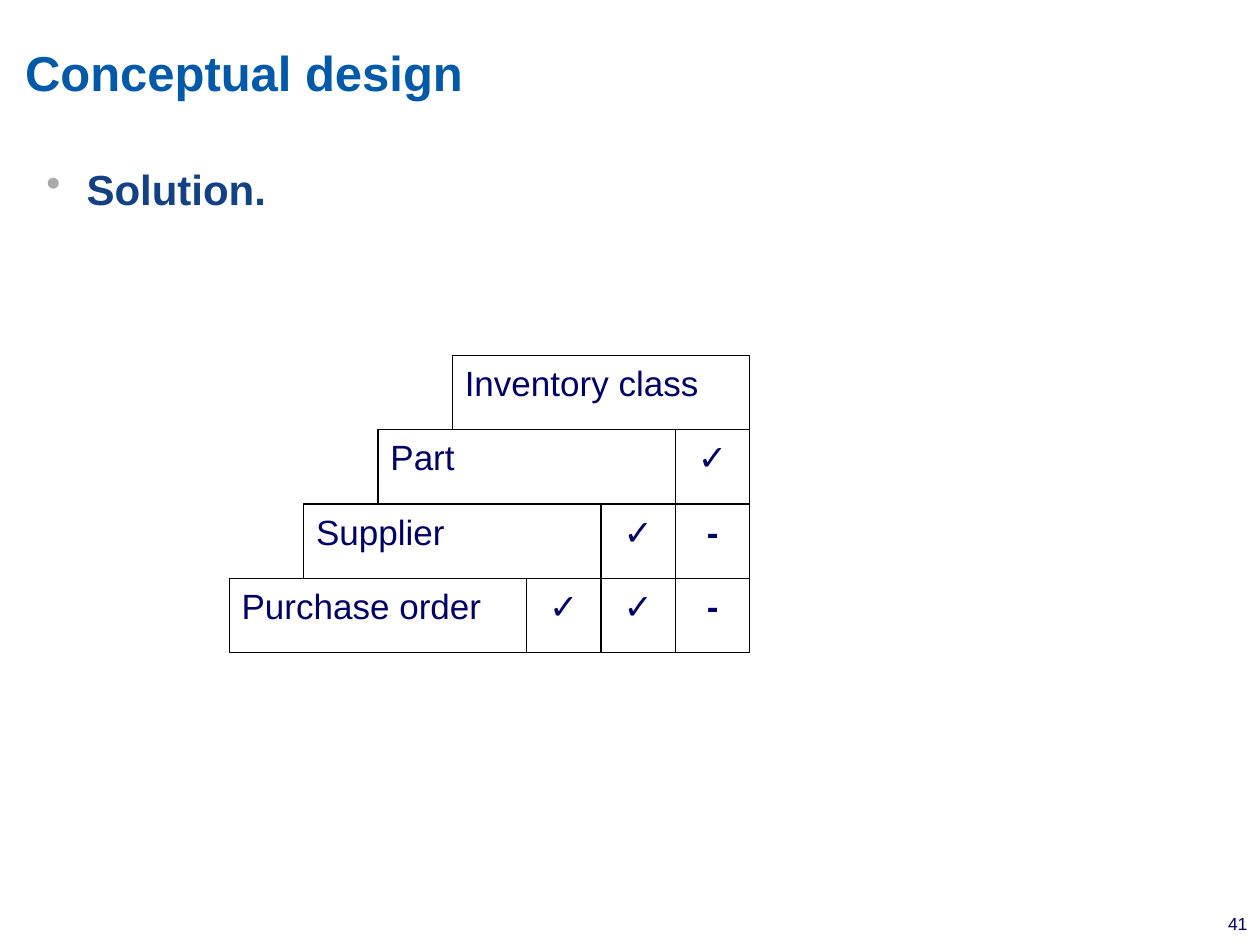
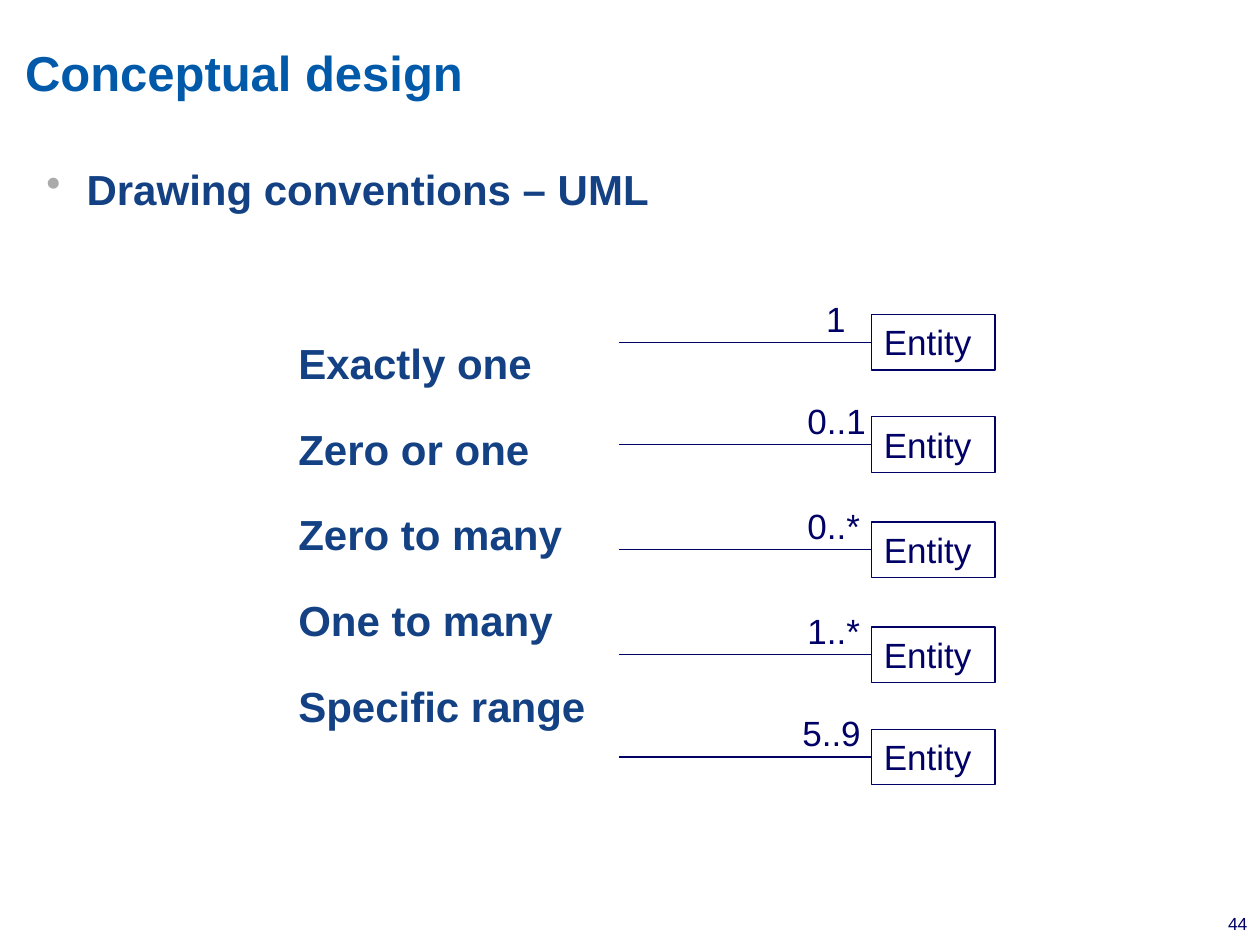
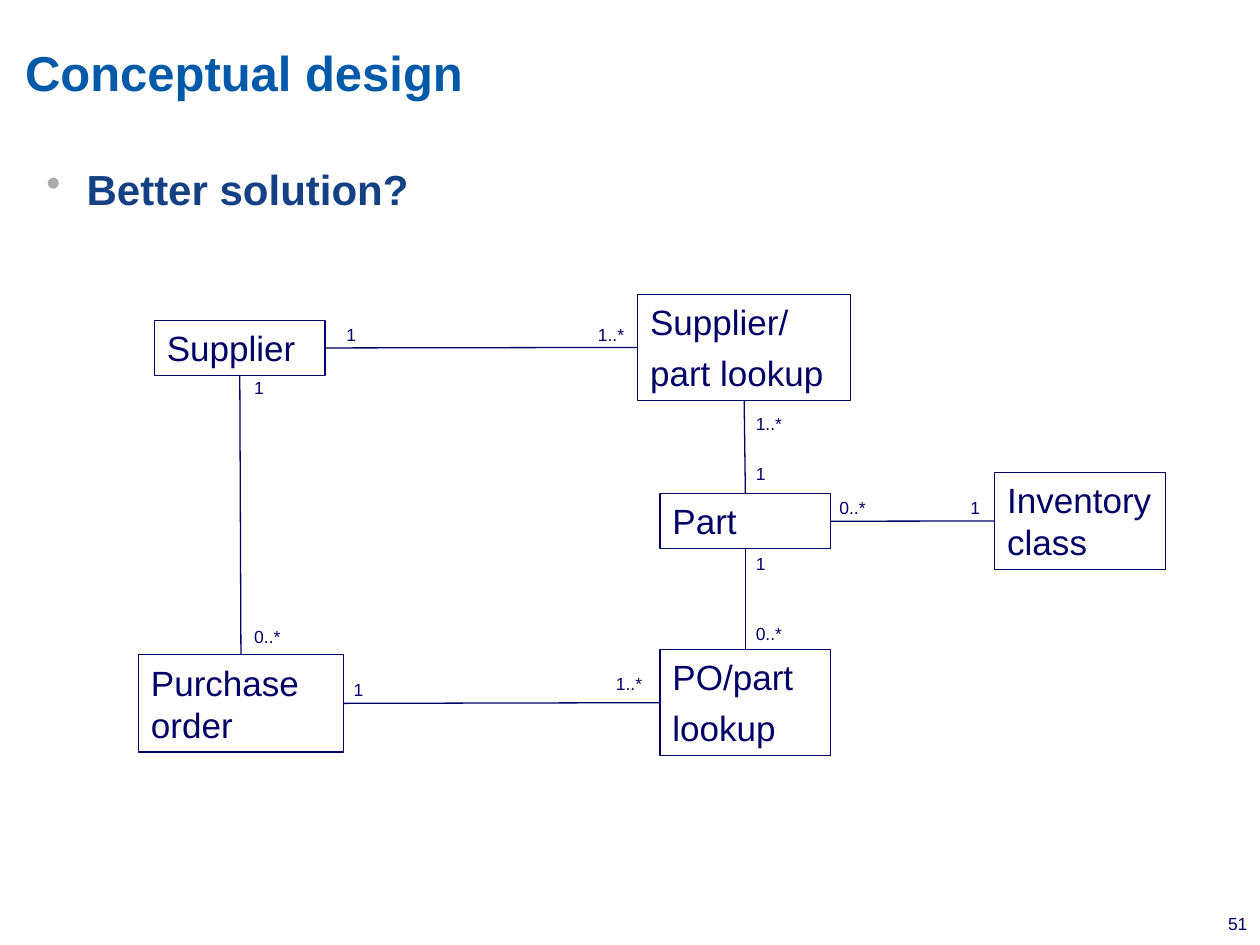
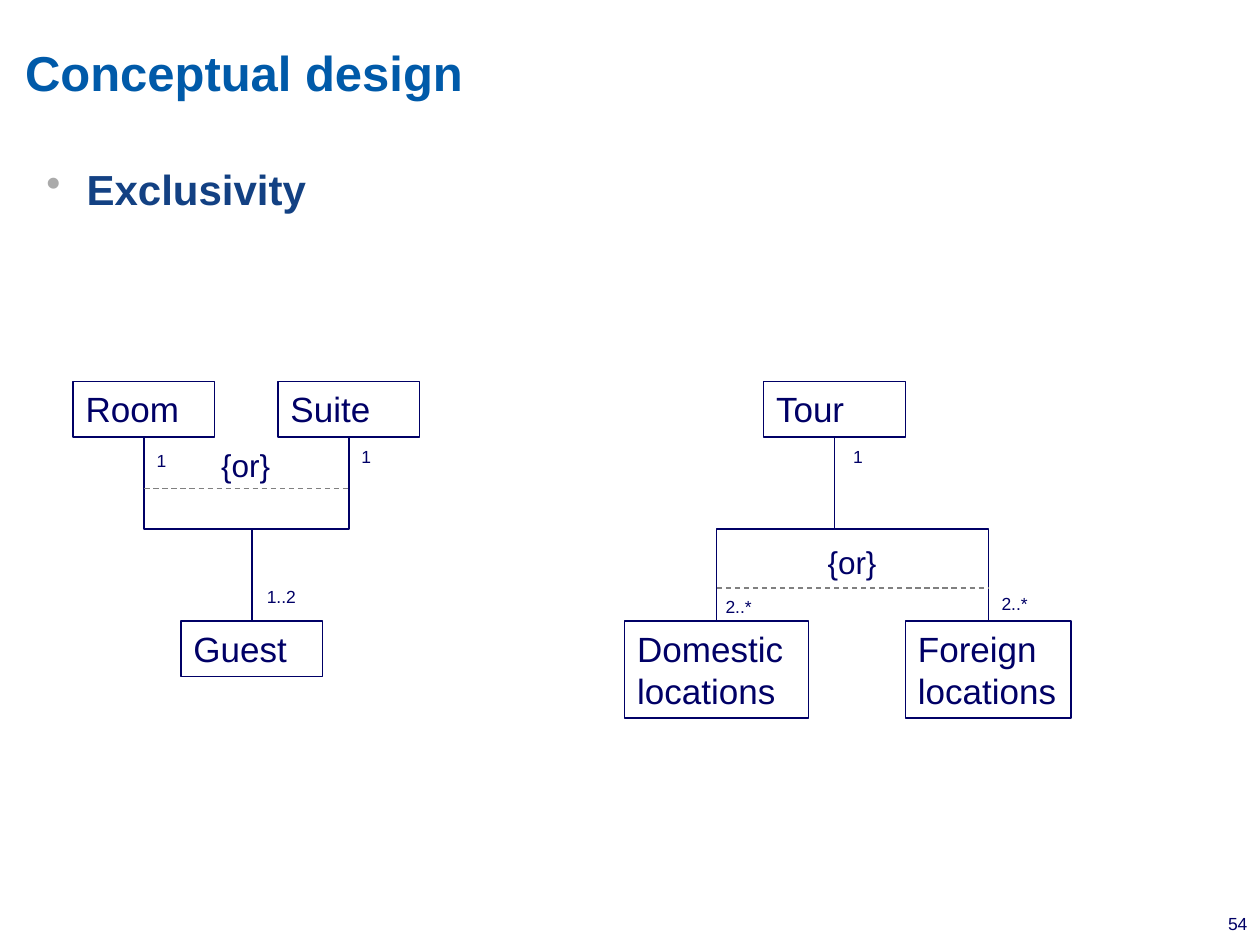
from lxml.etree import SubElement
from pptx import Presentation
from pptx.dml.color import RGBColor
from pptx.enum.dml import MSO_LINE_DASH_STYLE as Dash
from pptx.enum.shapes import MSO_CONNECTOR_TYPE as Link, MSO_SHAPE as Preset
from pptx.enum.text import MSO_ANCHOR as Anchor, PP_ALIGN as Align
from pptx.oxml.ns import qn
from pptx.util import Pt

FONT = "Arial"
NAVY = RGBColor(0x00, 0x00, 0x66)
TITLE_BLUE = RGBColor(0x00, 0x5A, 0xA9)
BODY_BLUE = RGBColor(0x13, 0x41, 0x83)
BULLET_GRAY = RGBColor(0xAA, 0xAA, 0xAA)
DASH_GRAY = RGBColor(0x80, 0x80, 0x80)
BLACK = RGBColor(0, 0, 0)

TOP, LEFT, BOTTOM, RIGHT = range(4)
INSETS = (7.2, 3.6, 7.2, 3.6)
ENTITY_HEIGHT = 31.7
TWO_LINES = 55.5
LOOKUP_HEIGHT = 60.5


def set_frame(shape, insets=INSETS, wrap=True, anchor=Anchor.TOP):
    frame = shape.text_frame
    frame.margin_left, frame.margin_top, frame.margin_right, frame.margin_bottom = map(Pt, insets)
    frame.word_wrap = wrap
    frame.vertical_anchor = anchor
    return frame


def add_span(para, text, size, color=NAVY, bold=False):
    span = para.add_run()
    span.text = text
    font = span.font
    font.name, font.size, font.bold = FONT, Pt(size), bold
    font.color.rgb = color


def space_before_percent(para, percent):
    """Set the space before as a share of the line height."""
    para.space_before = Pt(0)
    before = para._p.pPr.find(qn("a:spcBef"))
    before.remove(before[0])
    SubElement(before, qn("a:spcPct"), val=str(percent * 1000))


def add_bullet(para, indent):
    props = para._p.get_or_add_pPr()
    props.set("marL", str(Pt(indent)))
    props.set("indent", str(-Pt(indent)))
    color = SubElement(props, qn("a:buClr"))
    SubElement(color, qn("a:srgbClr"), val=str(BULLET_GRAY))
    SubElement(props, qn("a:buChar"), char="•")


def add_text(page, place, text, size, color=NAVY, bold=False, align=Align.LEFT, **frame_options):
    box = page.shapes.add_textbox(*map(Pt, place))
    para = set_frame(box, **frame_options).paragraphs[0]
    para.alignment = align
    add_span(para, text, size, color, bold)


def add_label(page, left, top, text, size=10, width=48, height=19.4, wrap=True):
    add_text(page, (left, top, width, height), text, size, wrap=wrap)


def add_box(page, place, *lines, line_color=NAVY, align=Align.LEFT, bold=False):
    """Outlined rectangle with one paragraph for each line."""
    box = page.shapes.add_shape(Preset.RECTANGLE, *map(Pt, place))
    box.shadow.inherit = False
    box.fill.background()
    box.line.color.rgb = line_color
    box.line.width = Pt(0.75)
    frame = set_frame(box)
    for number, text in enumerate(lines):
        para = frame.add_paragraph() if number else frame.paragraphs[0]
        para.alignment = align
        if len(lines) > 1:
            para.space_before = Pt(5)
        else:
            space_before_percent(para, 50)
        add_span(para, text, 20, bold=bold)
    return box


def add_line(page, start, end, color=NAVY, kind=Link.STRAIGHT):
    line = page.shapes.add_connector(kind, *map(Pt, start + end))
    line.line.color.rgb = color
    line.line.width = Pt(0.75)
    SubElement(line._element.spPr, qn("a:effectLst"))
    return line


def join(page, first, first_side, second, second_side, kind=Link.STRAIGHT):
    line = add_line(page, (0, 0), (0, 0), kind=kind)
    line.begin_connect(first, first_side)
    line.end_connect(second, second_side)
    return line


def join_down(page, upper, lower):
    """Elbow from the bottom of one box to the top of another, turned to leave downwards."""
    line = join(page, upper, BOTTOM, lower, TOP, Link.ELBOW)
    to_right = line.end_x > line.begin_x
    middle_x = (line.begin_x + line.end_x) // 2
    middle_y = (line.begin_y + line.end_y) // 2
    across, down = line.width, line.height
    line.left, line.top = middle_x - down // 2, middle_y - across // 2
    line.width, line.height = down, across
    frame = line._element.spPr.find(qn("a:xfrm"))
    frame.set("rot", str((270 if to_right else 90) * 60000))
    frame.set("flipH", "1" if to_right else "0")


def add_or(page, start_x, end_x, y, label_left, label_top):
    line = add_line(page, (start_x, y), (end_x, y), DASH_GRAY)
    line.line.dash_style = Dash.DASH
    add_label(page, label_left, label_top, "{or}", 18, 42.5, 29, wrap=False)


def add_page(deck, number, heading, items=()):
    page = deck.slides.add_slide(deck.slide_layouts[6])
    add_text(page, (460.8, 518.4, 252, 12.2), str(number), 10, align=Align.RIGHT,
             insets=(0, 3.6, 0, 3.6))
    add_text(page, (0, 0, 720, 77.8), "Conceptual design", 28, TITLE_BLUE, True,
             insets=(14.4, 14.4, 141.8, 10), anchor=Anchor.MIDDLE)
    body = page.shapes.add_textbox(*map(Pt, (19.4, 84.2, 685.4, 438.5)))
    frame = set_frame(body)
    for index, text in enumerate((heading, *items)):
        para = frame.add_paragraph() if index else frame.paragraphs[0]
        para.line_spacing = 1.2
        if index == 1:
            para.space_before = Pt(64.8)
        else:
            space_before_percent(para, 60)
        if index:
            para._p.pPr.set("marL", str(Pt(144)))
        else:
            add_bullet(para, 23)
        add_span(para, text, 24, BODY_BLUE, True)
    return page


def build_matrix(deck):
    page = add_page(deck, 41, "Solution.")
    step, first_left, first_top, name_width = 42.5, 258.5, 203, 170
    rows = [("Inventory class", ""), ("Part", "✓"), ("Supplier", "✓-"), ("Purchase order", "✓✓-")]
    for row, (name, marks) in enumerate(rows):
        left, top = first_left - row * step, first_top + row * step
        add_box(page, (left, top, name_width, step), name, line_color=BLACK)
        for column, mark in enumerate(marks):
            add_box(page, (left + name_width + column * step, top, step, step), mark,
                    line_color=BLACK, align=Align.CENTER, bold=mark == "-")


def build_conventions(deck):
    page = add_page(deck, 44, "Drawing conventions – UML",
                    ["Exactly one", "Zero or one", "Zero to many", "One to many", "Specific range"])
    ranges = [("1", 465, 179.8), ("0..1", 454.3, 238.2), ("0..*", 454.3, 298.3),
              ("1..*", 454.3, 358.3), ("5..9", 451.4, 416.7)]
    for text, label_left, top in ranges:
        entity = add_box(page, (498, top, 70.6, ENTITY_HEIGHT), "Entity")
        middle = top + ENTITY_HEIGHT / 2
        add_line(page, (354, middle), (498, middle)).end_connect(entity, LEFT)
        add_label(page, label_left, top - 13.5, text, 20, 57, ENTITY_HEIGHT)


def build_solution(deck):
    page = add_page(deck, 51, "Better solution?")
    inventory = add_box(page, (568.5, 270, 97.5, TWO_LINES), "Inventory class")
    part = add_box(page, (377.2, 282, 97.5, ENTITY_HEIGHT), "Part")
    supplier = add_box(page, (88.3, 183, 97.5, ENTITY_HEIGHT), "Supplier")
    order = add_box(page, (79.2, 374.2, 117, TWO_LINES), "Purchase order")
    supplier_part = add_box(page, (364.4, 168.3, 121.7, LOOKUP_HEIGHT), "Supplier/", "part lookup")
    order_part = add_box(page, (377.2, 371.3, 97.5, LOOKUP_HEIGHT), "PO/part", "lookup")

    join(page, supplier, BOTTOM, order, TOP)
    join(page, supplier, RIGHT, supplier_part, LEFT)
    join(page, order, RIGHT, order_part, LEFT)
    join(page, part, RIGHT, inventory, LEFT)
    join(page, part, BOTTOM, order_part, TOP)
    join(page, supplier_part, BOTTOM, part, TOP)

    for left, top, text in [
        (138.2, 354.4, "0..*"), (138.2, 211.9, "1"), (190.8, 181.5, "1"), (334.6, 181.5, "1..*"),
        (424.8, 232.4, "1..*"), (424.8, 261.2, "1"), (424.8, 312.6, "1"), (424.8, 352.6, "0..*"),
        (472.6, 280.7, "0..*"), (547.4, 280.7, "1"), (195, 384.6, "1"), (344.9, 381.2, "1..*"),
    ]:
        add_label(page, left, top, text)


def build_exclusivity(deck):
    page = add_page(deck, 54, "Exclusivity")
    upper, lower, width = 218, 354.8, 81
    room = add_box(page, (41.8, upper, width, ENTITY_HEIGHT), "Room")
    suite = add_box(page, (158.9, upper, width, ENTITY_HEIGHT), "Suite")
    guest = add_box(page, (103.5, lower, width, ENTITY_HEIGHT), "Guest")
    tour = add_box(page, (436.4, upper, width, ENTITY_HEIGHT), "Tour")
    domestic = add_box(page, (357, lower, 105.2, TWO_LINES), "Domestic locations")
    foreign = add_box(page, (517.5, lower, 94.5, TWO_LINES), "Foreign locations")

    for above, below in [(room, guest), (suite, guest), (tour, domestic), (tour, foreign)]:
        join_down(page, above, below)
    add_or(page, 82.5, 199.4, 279.2, 119.3, 251.3)
    add_or(page, 409.6, 564.8, 336, 465.8, 306.7)

    for left, top, text, label_width in [
        (145.4, 331.2, "1..2", 31), (199.4, 251.3, "1", 20), (82.5, 253.4, "1", 20),
        (480.4, 251.3, "1", 20), (565.2, 335.5, "2..*", 29.5), (407.5, 337, "2..*", 29.5),
    ]:
        add_label(page, left, top, text, width=label_width, wrap=False)


def main():
    deck = Presentation()
    deck.slide_width, deck.slide_height = Pt(720), Pt(540)
    build_matrix(deck)
    build_conventions(deck)
    build_solution(deck)
    build_exclusivity(deck)
    deck.save("out.pptx")


if __name__ == "__main__":
    main()
